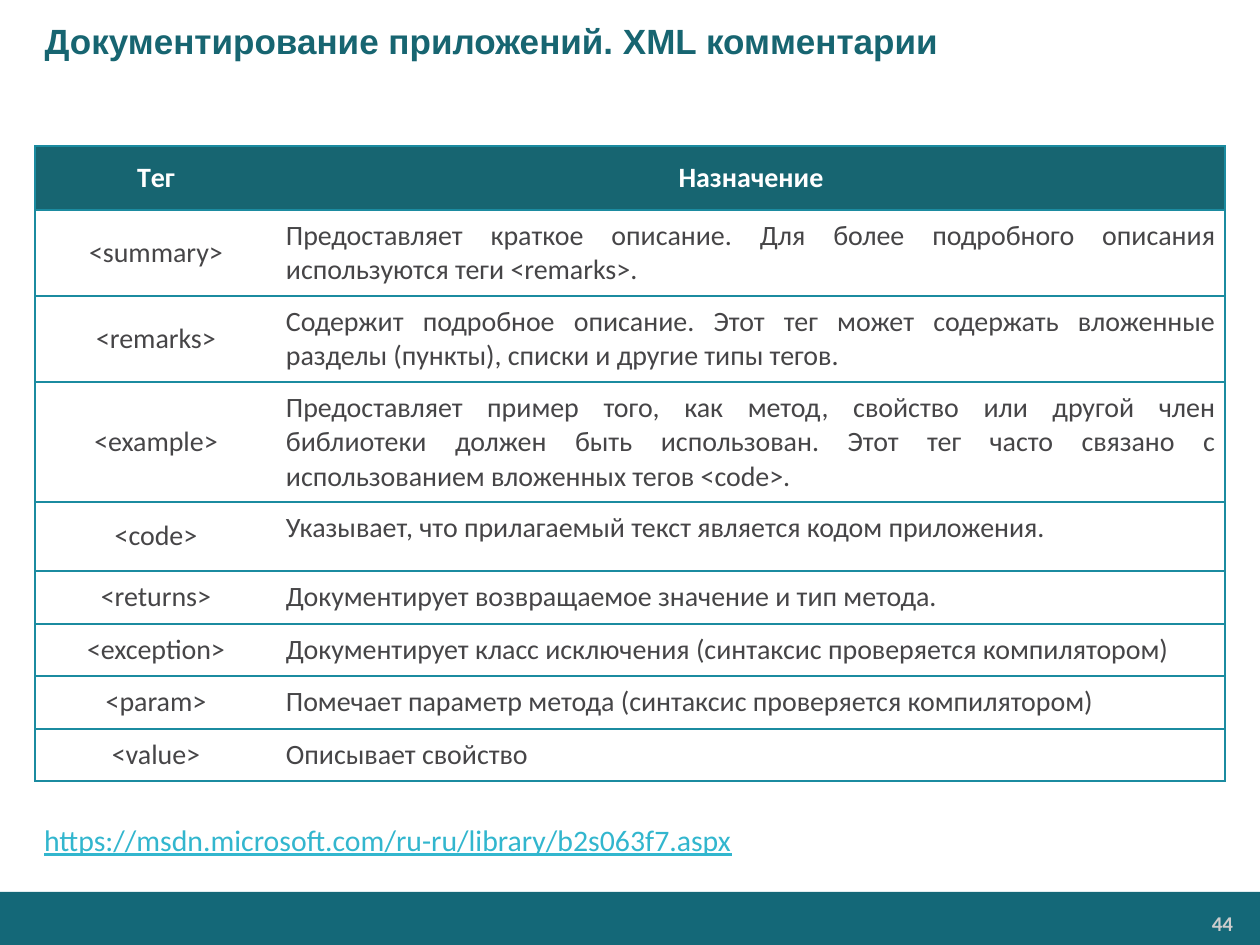
"""Build the slide on XML comment tags with their table of purposes."""
from dataclasses import dataclass
from typing import Any

import lxml.etree
import pptx
import pptx.dml.color
import pptx.enum.shapes
import pptx.enum.text
import pptx.oxml.ns
import pptx.util

Align = pptx.enum.text.PP_ALIGN
Anchor = pptx.enum.text.MSO_ANCHOR
qn = pptx.oxml.ns.qn


@dataclass(frozen=True)
class Theme:
    head: str = "176571"
    bar: str = "146878"
    rule: str = "1B8BA0"
    body: str = "464547"
    link: str = "32B6CE"
    page: str = "CCCCCC"
    white: str = "FFFFFF"
    title_font: str = "Arial"
    font: str = "Calibri"
    title_size: int = 20
    link_size: int = 17
    cell_size: int = 16
    page_size: int = 12


def px(n):
    return pptx.util.Emu(round(n * 914400 / 126))


def rgb(color):
    return pptx.dml.color.RGBColor.from_string(color)


@dataclass
class Deck:
    theme: Theme
    slide: Any

    def style(self, para, size, color, bold=False, align=Align.LEFT, face=None):
        para.alignment = align
        font = para.font
        font.name = face or self.theme.font
        font.size = pptx.util.Pt(size)
        font.bold = bold
        font.color.rgb = rgb(color)

    def inset(self, item, side, top):
        item.margin_left = item.margin_right = px(side)
        item.margin_top = item.margin_bottom = px(top)

    def title(self, text, box, indent):
        shape = self.slide.shapes.title
        shape.left, shape.top, shape.width, shape.height = map(px, box)
        frame = shape.text_frame
        frame.text = text
        frame.vertical_anchor = Anchor.MIDDLE
        para = frame.paragraphs[0]
        self.style(para, self.theme.title_size, self.theme.head, True, face=self.theme.title_font)
        props = para._p.get_or_add_pPr()
        props.set("marL", str(px(indent)))
        props.set("indent", "0")

    def bar(self, box):
        kind = pptx.enum.shapes.MSO_SHAPE.RECTANGLE
        shape = self.slide.shapes.add_shape(kind, *map(px, box))
        shape.shadow.inherit = False
        shape.fill.solid()
        shape.fill.fore_color.rgb = rgb(self.theme.bar)
        shape.line.fill.background()

    def text(self, text, box, inset, wrap, size, color, bold=False, align=Align.LEFT):
        frame = self.slide.shapes.add_textbox(*map(px, box)).text_frame
        frame.word_wrap = wrap
        self.inset(frame, *inset)
        frame.text = text
        self.style(frame.paragraphs[0], size, color, bold, align)
        return frame.paragraphs[0]

    def edges(self, cell, shown):
        props = cell._tc.get_or_add_tcPr()
        for i, side in enumerate("LRTB"):
            line = lxml.etree.Element(qn(f"a:ln{side}"), w=str(pptx.util.Pt(1)))
            if side in shown:
                fill = lxml.etree.SubElement(line, qn("a:solidFill"))
                lxml.etree.SubElement(fill, qn("a:srgbClr"), val=self.theme.rule)
            else:
                lxml.etree.SubElement(line, qn("a:noFill"))
            props.insert(i, line)

    def cell(self, cell, text, head, align, anchor, shown):
        theme = self.theme
        cell.text = text
        cell.vertical_anchor = anchor
        self.inset(cell, 9, 9)
        color = theme.white if head else theme.body
        self.style(cell.text_frame.paragraphs[0], theme.cell_size, color, head, align)
        cell.fill.solid()
        cell.fill.fore_color.rgb = rgb(theme.head if head else theme.white)
        self.edges(cell, shown)

    def table(self, rows, left, top, cols, heights, ragged):
        box = map(px, (left, top, sum(cols), sum(heights)))
        table = self.slide.shapes.add_table(len(rows), len(cols), *box).table
        for col, width in zip(table.columns, cols):
            col.width = px(width)
        for i, (tag, use) in enumerate(rows):
            table.rows[i].height = px(heights[i])
            head = i == 0
            align = Align.LEFT if i >= ragged else Align.JUSTIFY
            if head:
                align = Align.CENTER
            anchor = Anchor.MIDDLE if head else Anchor.TOP
            self.cell(table.cell(i, 0), tag, head, Align.CENTER, Anchor.MIDDLE, "LTB")
            self.cell(table.cell(i, 1), use, head, align, anchor, "RTB")


ROWS = [
    ("Tег", "Назначение"),
    ("<summary>", "Предоставляет краткое описание. Для более подробного описания "
     "используются теги <remarks>."),
    ("<remarks>", "Содержит подробное описание. Этот тег может содержать вложенные "
     "разделы (пункты), списки и другие типы тегов."),
    ("<example>", "Предоставляет пример того, как метод, свойство или другой член "
     "библиотеки должен быть использован. Этот тег часто связано с "
     "использованием вложенных тегов <code>."),
    ("<code>", "Указывает, что прилагаемый текст является кодом приложения."),
    ("<returns>", "Документирует возвращаемое значение и тип метода."),
    ("<exception>", "Документирует класс исключения (синтаксис проверяется компилятором)"),
    ("<param>", "Помечает параметр метода (синтаксис проверяется компилятором)"),
    ("<value>", "Описывает свойство"),
]


def main():
    show = pptx.Presentation()
    show.slide_width, show.slide_height = px(1260), px(945)
    theme = Theme()
    deck = Deck(theme, show.slides.add_slide(show.slide_layouts[5]))
    deck.bar((0, 892, 1260, 53))
    deck.text("44", (1037, 906, 205, 35), (9, 5), True,
              theme.page_size, theme.page, True, Align.RIGHT)
    deck.title("Документирование приложений. XML комментарии", (0, 0, 1260, 80), 32)
    deck.table(ROWS, 35, 146, (242, 948), (64, 86, 86, 120, 69, 53, 52, 53, 52), 6)
    link = deck.text("https://msdn.microsoft.com/ru-ru/library/b2s063f7.aspx",
                     (38, 816, 709, 49), (6, 6), False, theme.link_size, theme.link)
    link.font.underline = True
    show.save("out.pptx")


if __name__ == "__main__":
    main()
